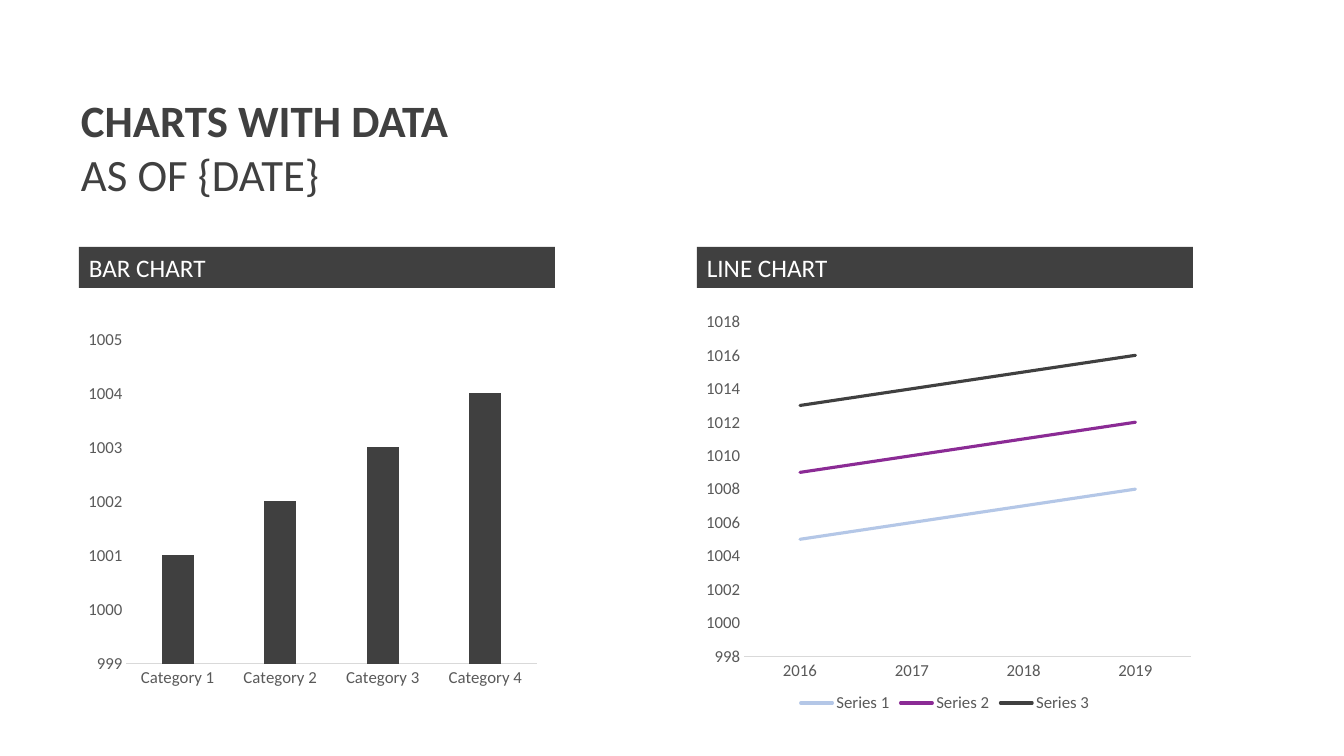
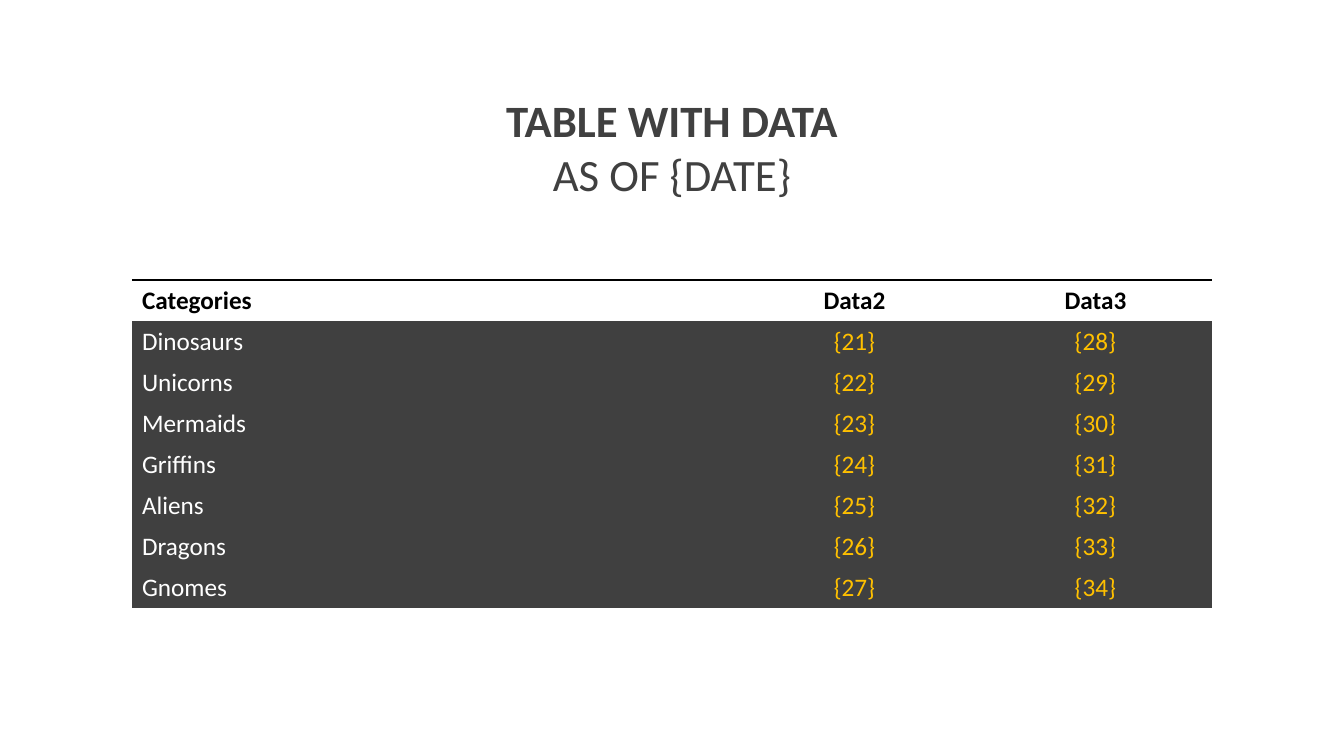
from lxml.etree import SubElement
from pptx import Presentation
from pptx.chart.data import CategoryChartData
from pptx.dml.color import RGBColor
from pptx.enum.chart import XL_CHART_TYPE, XL_LEGEND_POSITION, XL_TICK_MARK
from pptx.enum.shapes import MSO_SHAPE
from pptx.enum.text import MSO_ANCHOR, MSO_AUTO_SIZE, PP_ALIGN
from pptx.oxml import parse_xml
from pptx.oxml.ns import nsdecls, qn
from pptx.util import Emu, Pt

# Shared style
SCALE = 914400 / 100.8
WIDTH, HEIGHT = 1344, 756
FONT = "Calibri"
DARK, GREY, RULE = "404040", "595959", "D9D9D9"
WHITE, BLACK, GOLD = "FFFFFF", "000000", "FFC000"
BLUE, PURPLE = "B4C7E7", "8B2B95"
NO_STYLE = "{2D5ABB26-0587-4C30-8999-92F81FD0307C}"
TITLE_TOP, TITLE_H = 88, 119
BAND_TOP, BAND_H = 247, 41
ROW_H = 41


def px(n):
    return Emu(round(n * SCALE))


def box_px(box):
    return [px(n) for n in box]


def rgb(value):
    return RGBColor.from_string(value)


def style_font(font, size, color, bold=False):
    for name, value in {"name": FONT, "size": Pt(size), "bold": bold}.items():
        setattr(font, name, value)
    font.color.rgb = rgb(color)


def write(p, text, size, color, bold=False, align=PP_ALIGN.LEFT):
    p.alignment = align
    r = p.add_run()
    r.text = text
    style_font(r.font, size, color, bold)


def add_title(s, box, lines, align=PP_ALIGN.LEFT, wrap=True):
    """Two-line title: bold heading above a regular line."""
    tf = s.shapes.add_textbox(*box_px(box)).text_frame
    tf.word_wrap = wrap
    tf.auto_size = MSO_AUTO_SIZE.SHAPE_TO_FIT_TEXT
    for i, line in enumerate(lines):
        p = tf.add_paragraph() if i else tf.paragraphs[0]
        write(p, line, 32, DARK, i == 0, align)


def add_band(s, box, text):
    """Dark heading band above a chart."""
    sp = s.shapes.add_shape(MSO_SHAPE.RECTANGLE, *box_px(box))
    sp.shadow.inherit = False
    sp.fill.solid()
    sp.fill.fore_color.rgb = rgb(DARK)
    sp.line.fill.background()
    tf = sp.text_frame
    tf.word_wrap = True
    tf.vertical_anchor = MSO_ANCHOR.TOP
    write(tf.paragraphs[0], text, 18, WHITE)


def style_axis(axis, formats):
    for name, value in formats.items():
        setattr(axis, name, value)
    axis.major_tick_mark = axis.minor_tick_mark = XL_TICK_MARK.NONE
    axis.has_major_gridlines = False
    style_font(axis.tick_labels.font, 12, GREY)


def add_chart(s, box, kind, cats, series, scale):
    """Chart with a bare value axis and a thin category line."""
    data = CategoryChartData()
    data.categories = cats
    for name, vals in series:
        data.add_series(name, vals)
    chart = s.shapes.add_chart(kind, *box_px(box), data).chart
    chart.has_title = chart.has_legend = False
    style_font(chart.font, 10, BLACK)
    style_axis(chart.category_axis, {})
    line = chart.category_axis.format.line
    line.color.rgb = rgb(RULE)
    line.width = Pt(0.75)
    low, high, step = scale
    style_axis(chart.value_axis, {
        "minimum_scale": low, "maximum_scale": high, "major_unit": step})
    chart.value_axis.format.line.fill.background()
    chart.plots[0].vary_by_categories = False
    return chart


def add_bar_chart(s, box):
    chart = add_chart(s, box, XL_CHART_TYPE.COLUMN_CLUSTERED,
                      [f"Category {n}" for n in range(1, 5)],
                      [("Series 1", range(1001, 1005))], (999, 1005, 1))
    plot = chart.plots[0]
    plot.gap_width, plot.overlap = 219, -27
    fill = plot.series[0].format.fill
    fill.solid()
    fill.fore_color.rgb = rgb(DARK)


def set_inner_plot(chart, area):
    """Fix the plot area as fractions of the chart: x, y, w, h."""
    plot_area = chart.element.find(".//" + qn("c:plotArea"))
    for old in plot_area.findall(qn("c:layout")):
        plot_area.remove(old)
    layout = parse_xml(f"<c:layout {nsdecls('c')}><c:manualLayout/></c:layout>")
    values = {"layoutTarget": "inner", "xMode": "edge", "yMode": "edge"}
    values.update(zip("xywh", area))
    for tag, value in values.items():
        SubElement(layout[0], qn(f"c:{tag}")).set("val", str(value))
    plot_area.insert(0, layout)


def add_line_chart(s, box):
    series = [(f"Series {i + 1}", range(start, start + 4))
              for i, start in enumerate((1005, 1009, 1013))]
    chart = add_chart(s, box, XL_CHART_TYPE.LINE,
                      [str(year) for year in range(2016, 2020)],
                      series, (998, 1018, 2))
    set_inner_plot(chart, (0.095, 0.079, 0.902, 0.78))
    for ser, color in zip(chart.plots[0].series, (BLUE, PURPLE, DARK)):
        ser.smooth = False
        ser.format.line.color.rgb = rgb(color)
        ser.format.line.width = Pt(2.25)
    for ln in chart.element.findall(f".//{qn('c:ser')}//{qn('a:ln')}"):
        ln.set("cap", "rnd")
    chart.has_legend = True
    legend = chart.legend
    legend.position = XL_LEGEND_POSITION.BOTTOM
    legend.include_in_layout = False
    style_font(legend.font, 12, GREY)


def add_top_border(cell):
    cell.fill.background()
    cell._tc.get_or_add_tcPr().insert(0, parse_xml(
        f'<a:lnT {nsdecls("a")} w="12700"><a:solidFill>'
        f'<a:srgbClr val="{BLACK}"/></a:solidFill></a:lnT>'))


def add_data_table(s, left, top, widths, rows):
    """Ruled header row over dark rows with gold figures."""
    frame = s.shapes.add_table(len(rows), len(widths), *box_px(
        (left, top, sum(widths), ROW_H * len(rows))))
    table = frame.table
    table.first_row = table.horz_banding = False
    table._tbl.tblPr.find(qn("a:tableStyleId")).text = NO_STYLE
    for col, width in zip(table.columns, widths):
        col.width = px(width)
    for i, row in enumerate(rows):
        table.rows[i].height = px(ROW_H)
        for j, text in enumerate(row):
            cell = table.cell(i, j)
            if i == 0:
                add_top_border(cell)
                color = BLACK
            else:
                cell.fill.solid()
                cell.fill.fore_color.rgb = rgb(DARK)
                color = GOLD if j else WHITE
            write(cell.text_frame.paragraphs[0], text, 18, color, i == 0,
                  PP_ALIGN.CENTER if j else PP_ALIGN.LEFT)


def charts_slide(s):
    add_title(s, (71, TITLE_TOP, 391, TITLE_H),
              ("CHARTS WITH DATA", "AS OF {DATE}"), wrap=False)
    add_bar_chart(s, (79, 322, 467, 373))
    add_line_chart(s, (697, 288, 496, 429))
    add_band(s, (79, BAND_TOP, 476, BAND_H), "BAR CHART")
    add_band(s, (697, BAND_TOP, 496, BAND_H), "LINE CHART")


def table_slide(s):
    add_title(s, (0, TITLE_TOP, WIDTH, TITLE_H),
              ("TABLE WITH DATA", "AS OF {DATE}"), PP_ALIGN.CENTER)
    names = ("Dinosaurs", "Unicorns", "Mermaids", "Griffins", "Aliens",
             "Dragons", "Gnomes")
    rows = [("Categories", "Data2", "Data3")]
    rows += [(name, f"{{{21 + i}}}", f"{{{28 + i}}}")
             for i, name in enumerate(names)]
    add_data_table(s, 132, 280, (598, 249, 233), rows)


def main():
    prs = Presentation()
    prs.slide_width, prs.slide_height = px(WIDTH), px(HEIGHT)
    for build in (charts_slide, table_slide):
        build(prs.slides.add_slide(prs.slide_layouts[6]))
    prs.save("out.pptx")


if __name__ == "__main__":
    main()
